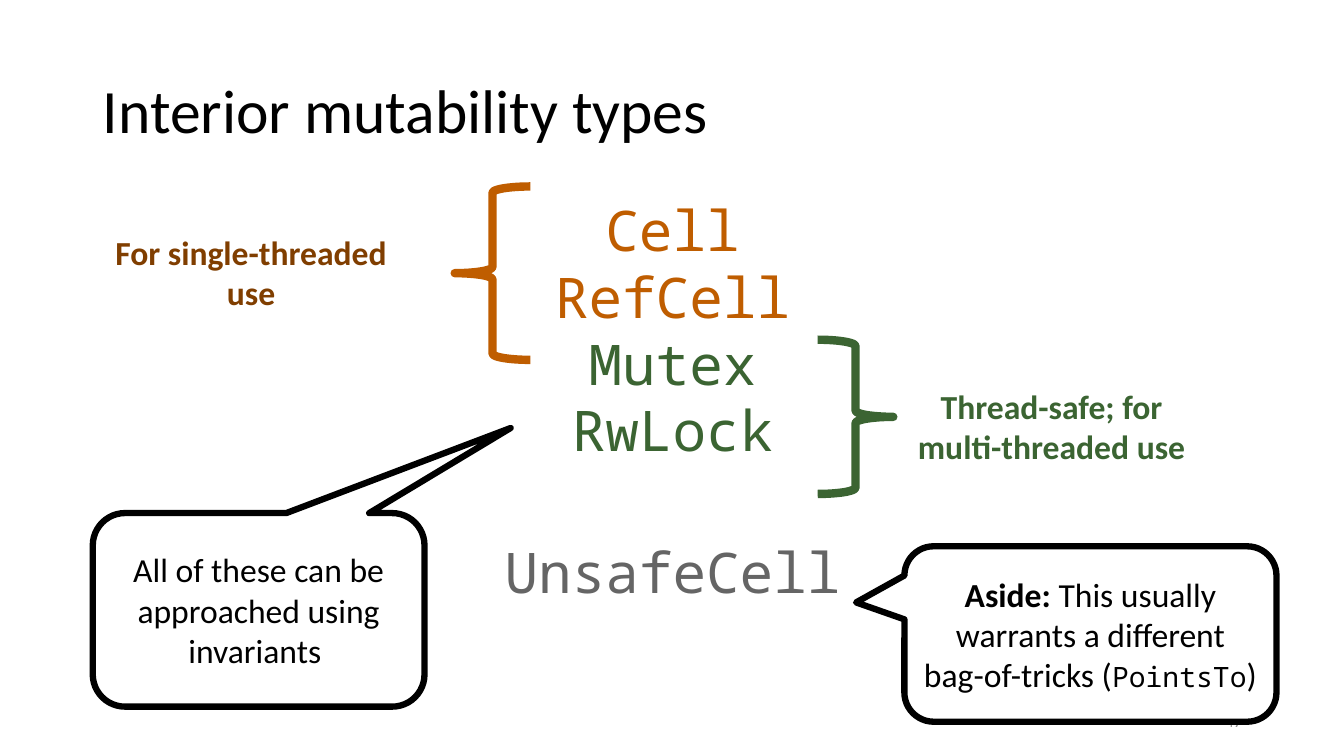
from pptx import Presentation
from pptx.dml.color import RGBColor
from pptx.enum.shapes import MSO_SHAPE
from pptx.enum.text import MSO_ANCHOR, PP_ALIGN
from pptx.util import Pt

PX = 9144
SANS, MONO = "Calibri", "Noto Sans Mono"
BLACK, WHITE, GREY = "000000", "FFFFFF", "656565"
ORANGE, BROWN, GREEN = "BF5D00", "803E00", "3B6432"


def scale(*px):
    return [n * PX for n in px]


def color(code):
    return RGBColor.from_string(code)


class Deck:
    def __init__(self, wide, high):
        self.file = Presentation()
        self.file.slide_width, self.file.slide_height = scale(wide, high)
        self.slide = self.file.slides.add_slide(self.file.slide_layouts[5])

    def run(self, para, text, size=24, tint=BLACK, font=SANS, bold=False):
        run = para.add_run()
        run.text = text
        run.font.size = Pt(size)
        run.font.name = font
        run.font.bold = bold
        run.font.color.rgb = color(tint)

    def frame(self, shape, align, anchor):
        frame = shape.text_frame
        frame.word_wrap = True
        frame.vertical_anchor = anchor
        frame.paragraphs[0].alignment = align
        return frame

    def title(self, box, text):
        shape = self.slide.shapes.title
        shape.left, shape.top, shape.width, shape.height = scale(*box)
        para = self.frame(shape, PP_ALIGN.LEFT, MSO_ANCHOR.MIDDLE).paragraphs[0]
        para.line_spacing = 0.9
        self.run(para, text, 44)

    def text(self, box, text, align=PP_ALIGN.CENTER, anchor=MSO_ANCHOR.TOP, **style):
        shape = self.slide.shapes.add_textbox(*scale(*box))
        self.run(self.frame(shape, align, anchor).paragraphs[0], text, **style)

    def code(self, box, lines):
        shape = self.slide.shapes.add_textbox(*scale(*box))
        frame = self.frame(shape, PP_ALIGN.CENTER, MSO_ANCHOR.TOP)
        for i, (text, tint, gap) in enumerate(lines):
            para = frame.add_paragraph() if i else frame.paragraphs[0]
            para.alignment = PP_ALIGN.CENTER
            para.line_spacing = 0.83
            para.space_before = Pt(gap)
            self.run(para, text, 40, tint, MONO)

    def shape(self, kind, box, tint, width):
        shape = self.slide.shapes.add_shape(kind, *scale(*box))
        shape.shadow.inherit = False
        shape.line.color.rgb = color(tint)
        shape.line.width = Pt(width)
        return shape

    def brace(self, box, tint, turn=0):
        shape = self.shape(MSO_SHAPE.LEFT_BRACE, box, tint, 6)
        shape.fill.background()
        shape.rotation = turn

    def callout(self, box, tip, runs):
        shape = self.shape(MSO_SHAPE.ROUNDED_RECTANGULAR_CALLOUT, box, BLACK, 4.5)
        shape.fill.solid()
        shape.fill.fore_color.rgb = color(WHITE)
        shape.adjustments[0], shape.adjustments[1] = tip
        para = self.frame(shape, PP_ALIGN.CENTER, MSO_ANCHOR.MIDDLE).paragraphs[0]
        for text, style in runs:
            self.run(para, text, **style)


def main():
    deck = Deck(1333, 750)
    deck.title((92, 40, 1076, 145), "Interior mutability types")
    deck.code((92, 200, 1150, 476), [
        ("Cell", ORANGE, 0),
        ("RefCell", ORANGE, 8),
        ("Mutex", GREEN, 8),
        ("RwLock", GREEN, 8),
        ("UnsafeCell", GREY, 61),
    ])
    deck.text((942, 695, 300, 40), "47", PP_ALIGN.RIGHT, MSO_ANCHOR.MIDDLE,
              size=12, tint="8C8C8C")
    deck.brace((451, 185, 75, 172), ORANGE)
    deck.text((92, 225, 314, 91), "For single-threaded use", tint=BROWN, bold=True)
    deck.brace((811, 337, 75, 153), GREEN, 180)
    deck.text((886, 378, 314, 91), "Thread-safe; for multi-threaded use",
              tint=GREEN, bold=True)
    deck.callout((92, 509, 329, 192), (0.76, -0.94), [
        ("All of these can be approached using invariants ", {}),
    ])
    deck.callout((897, 542, 369, 174), (-0.63, -0.18), [
        ("Aside: ", {"bold": True}),
        ("This usually warrants a different bag-of-tricks (", {}),
        ("PointsTo", {"size": 20, "font": MONO}),
        (")", {}),
    ])
    deck.file.save("out.pptx")


if __name__ == "__main__":
    main()
